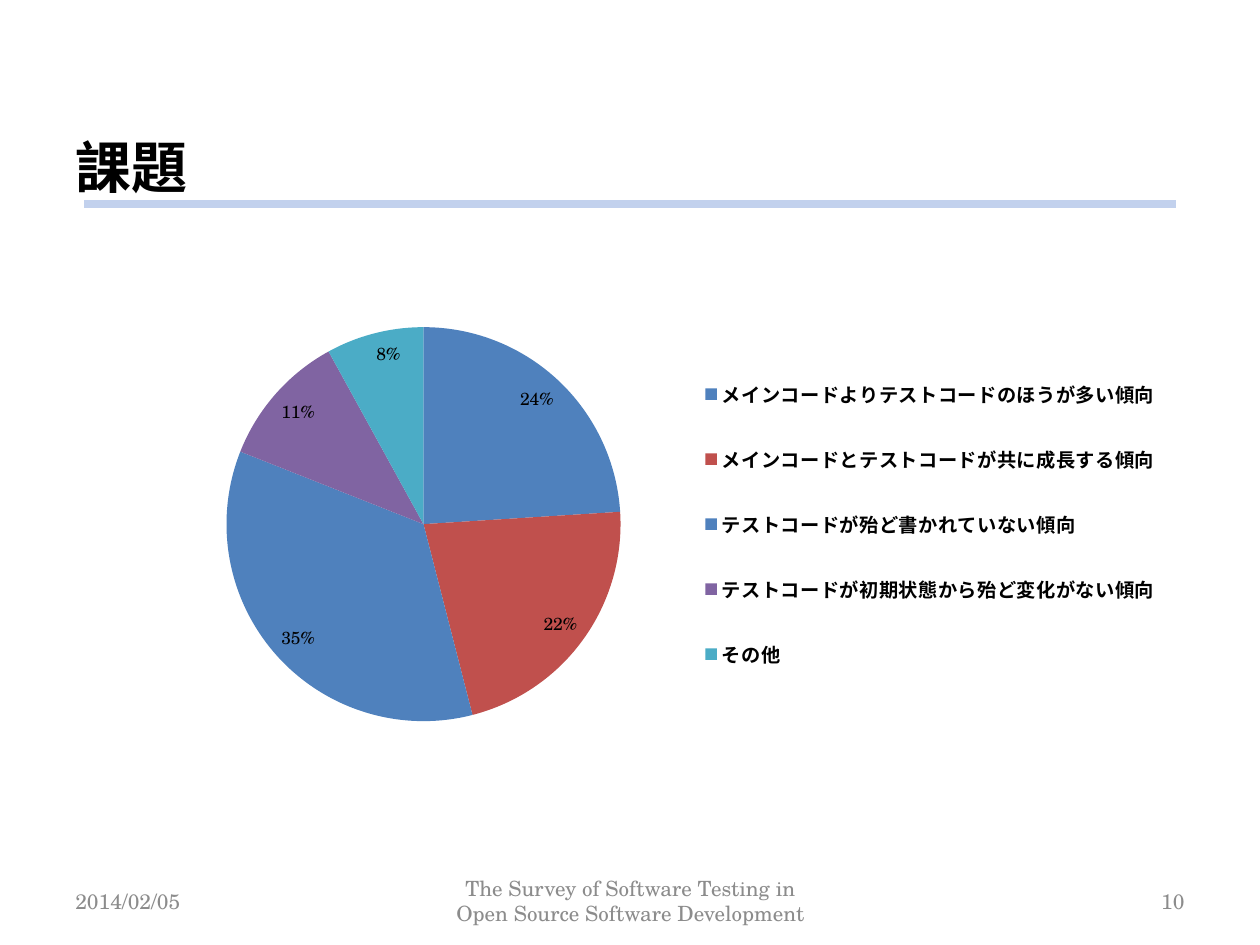
import pptx
import pptx.chart.data
import pptx.dml.color
import pptx.enum.chart
import pptx.enum.shapes
import pptx.enum.text
import pptx.oxml
import pptx.oxml.ns
import pptx.util

Inches = pptx.util.Inches
Pt = pptx.util.Pt
Align = pptx.enum.text.PP_ALIGN
Anchor = pptx.enum.text.MSO_ANCHOR


def tint(code):
    return pptx.dml.color.RGBColor.from_string(code)


class Deck:
    """Hold the style and the current slide, and add each kind of element."""

    face = "TeX Gyre Schola"
    ink = "000000"
    gray = "8C8C8C"
    rule = "C2D1ED"

    def __init__(self, wide, high):
        self.prs = pptx.Presentation()
        self.prs.slide_width = Inches(wide)
        self.prs.slide_height = Inches(high)
        self.slide = self.prs.slides.add_slide(self.prs.slide_layouts[6])

    def style(self, font, size, color, bold=False):
        font.name = self.face
        font.size = Pt(size)
        font.bold = bold
        font.color.rgb = tint(color)

    def text(self, words, box, size, color, align=Align.LEFT, anchor=Anchor.TOP, bold=False):
        frame = self.slide.shapes.add_textbox(*map(Inches, box)).text_frame
        frame.word_wrap = True
        frame.vertical_anchor = anchor
        frame.text = words
        para = frame.paragraphs[0]
        para.alignment = align
        self.style(para.runs[0].font, size, color, bold)

    def line(self, left, right, top, width):
        kind = pptx.enum.shapes.MSO_CONNECTOR.STRAIGHT
        ends = map(Inches, (left, top, right, top))
        line = self.slide.shapes.add_connector(kind, *ends)
        line.line.color.rgb = tint(self.rule)
        line.line.width = Pt(width)
        props = line.element.spPr
        props.append(pptx.oxml.parse_xml(f'<a:effectLst {pptx.oxml.ns.nsdecls("a")}/>'))

    def place(self, node, index, box, inner=False):
        for old in node.xpath("c:layout"):
            node.remove(old)
        target = '<c:layoutTarget val="inner"/>' if inner else ""
        modes = "".join(f'<c:{side}Mode val="edge"/>' for side in "xy")
        sizes = "".join(f'<c:{side} val="{part}"/>' for side, part in zip("xywh", box))
        node.insert(index, pptx.oxml.parse_xml(
            f'<c:layout {pptx.oxml.ns.nsdecls("c")}><c:manualLayout>'
            f"{target}{modes}{sizes}</c:manualLayout></c:layout>"))

    def pie(self, box, slices, plot, key):
        data = pptx.chart.data.CategoryChartData()
        data.categories = [name for name, share, color in slices]
        data.add_series("Series 1", [share for name, share, color in slices])
        kind = pptx.enum.chart.XL_CHART_TYPE.PIE
        chart = self.slide.shapes.add_chart(kind, *map(Inches, box), data).chart
        self.style(chart.font, 10, self.ink)
        chart.has_title = False
        chart.has_legend = True
        legend = chart.legend
        legend.position = pptx.enum.chart.XL_LEGEND_POSITION.RIGHT
        legend.include_in_layout = False
        self.style(legend.font, 11, self.ink, True)
        pie = chart.plots[0]
        pie.vary_by_categories = True
        for index, (name, share, color) in enumerate(slices):
            fill = pie.series[0].points[index].format.fill
            fill.solid()
            fill.fore_color.rgb = tint(color)
        pie.has_data_labels = True
        labels = pie.data_labels
        labels.show_value = False
        labels.show_percentage = True
        labels.number_format = "0%"
        labels.number_format_is_linked = False
        labels.position = pptx.enum.chart.XL_LABEL_POSITION.INSIDE_END
        self.style(labels.font, 10, self.ink)
        self.place(chart.element.xpath(".//c:plotArea")[0], 0, plot, True)
        self.place(chart.element.xpath(".//c:legend")[0], 1, key)

    def save(self):
        self.prs.save("out.pptx")


def main():
    deck = Deck(10, 7.5)
    notes = [
        ("2014/02/05", 0.5, 2.33, Align.LEFT),
        ("The Survey of Software Testing in Open Source Software Development",
         3.42, 3.17, Align.CENTER),
        ("10", 7.17, 2.33, Align.RIGHT),
    ]
    for words, left, wide, align in notes:
        deck.text(words, (left, 6.95, wide, 0.4), 12, deck.gray, align, Anchor.MIDDLE)
    deck.text("課題", (0.5, 1, 5.08, 1), 32, deck.ink, bold=True)
    deck.line(0.67, 9.33, 1.62, 5)
    slices = [
        ("メインコードよりテストコードのほうが多い傾向", 24, "4F81BD"),
        ("メインコードとテストコードが共に成長する傾向", 22, "C0504D"),
        ("テストコードが殆ど書かれていない傾向", 35, "4F81BD"),
        ("テストコードが初期状態から殆ど変化がない傾向", 11, "8064A2"),
        ("その他", 8, "4BACC6"),
    ]
    deck.pie((0.68, 2.18, 8.65, 4.17), slices, (0.1, 0.1, 0.42, 0.75), (0.56, 0.13, 0.43, 0.69))
    deck.save()


if __name__ == "__main__":
    main()
